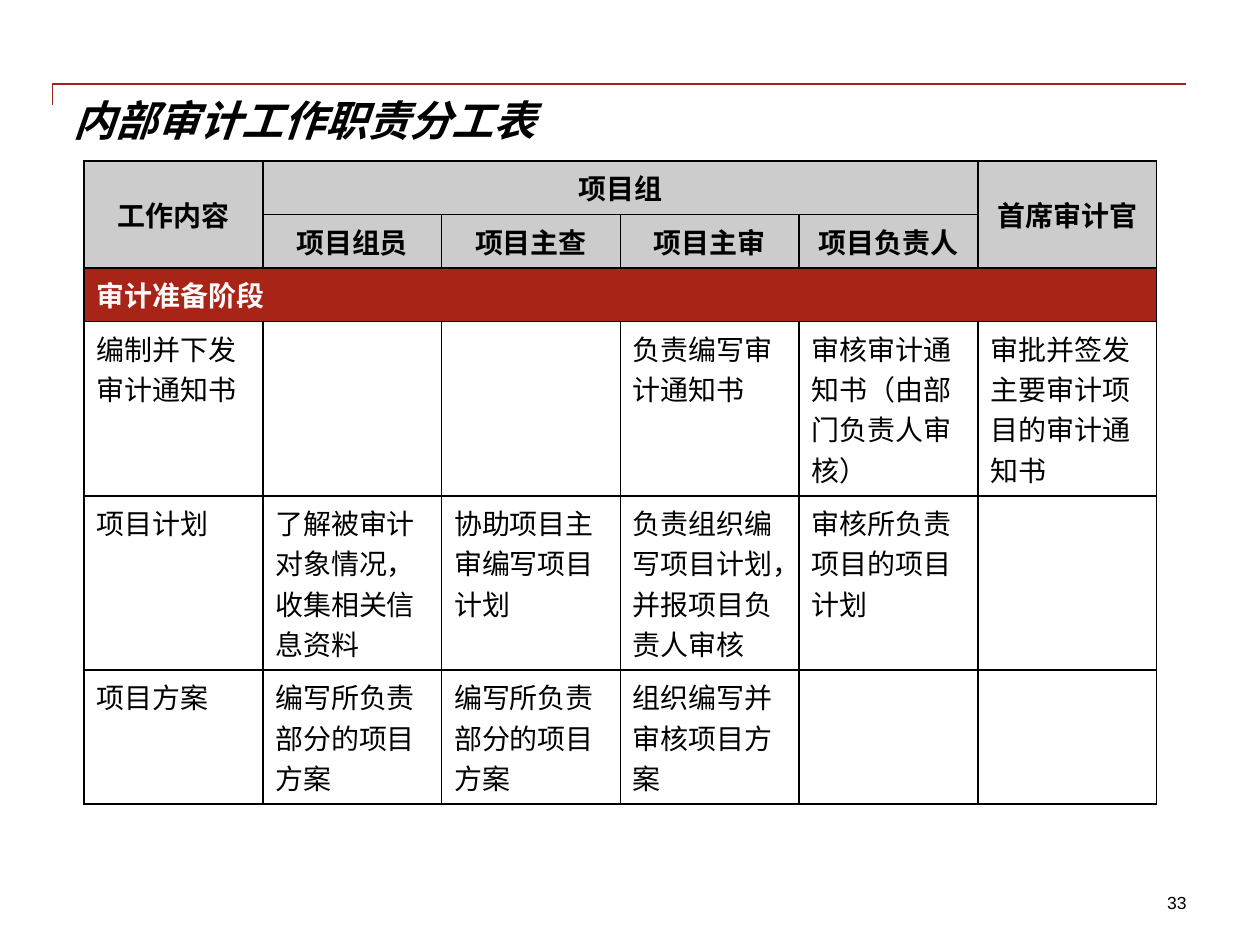
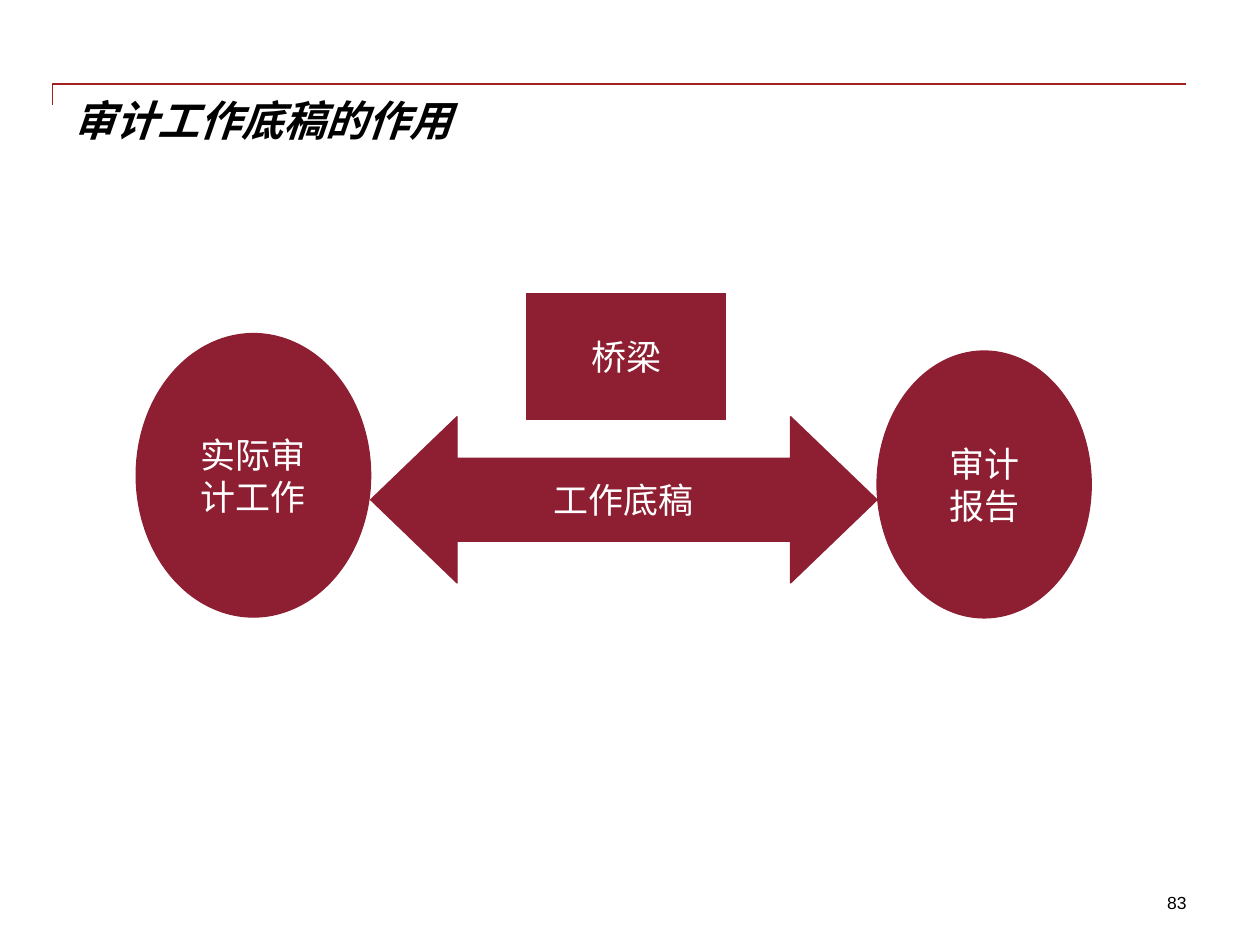
import pptx
import pptx.dml.color
import pptx.enum.shapes
import pptx.enum.text
import pptx.oxml
import pptx.oxml.ns
import pptx.util

Pt = pptx.util.Pt
SHAPE = pptx.enum.shapes.MSO_SHAPE
ALIGN = pptx.enum.text.PP_ALIGN
ANCHOR = pptx.enum.text.MSO_ANCHOR

COLORS = {
    "text": "000000",
    "white": "FFFFFF",
    "rule": "A32020",
    "header": "CCCCCC",
    "phase": "A82417",
    "phase_text": "FEF8F8",
    "shape": "8E1E31",
    "border": "000000",
}
LATIN, CJK = "Arial", "Noto Sans CJK SC"

HEADERS = [
    ["工作内容", "项目组", "", "", "", "首席审计官"],
    ["", "项目组员", "项目主查", "项目主审", "项目负责人", ""],
]
PHASE = ["审计准备阶段", "", "", "", "", ""]
DUTIES = [
    ["编制并下发审计通知书", "", "", "负责编写审计通知书",
     "审核审计通知书（由部门负责人审核）", "审批并签发主要审计项目的审计通知书"],
    ["项目计划", "了解被审计对象情况，收集相关信息资料", "协助项目主审编写项目计划",
     "负责组织编写项目计划，并报项目负责人审核", "审核所负责项目的项目计划", ""],
    ["项目方案", "编写所负责部分的项目方案", "编写所负责部分的项目方案",
     "组织编写并审核项目方案", "", ""],
]
ROW_HEIGHTS = [30.6, 30.6, 30.6, 99.6, 99.6, 76.5]
MERGES = [((0, 0), (1, 0)), ((0, 1), (0, 4)), ((0, 5), (1, 5)), ((2, 0), (2, 5))]


def rgb(name):
    return pptx.dml.color.RGBColor.from_string(COLORS[name])


def style(p, size, color="text", font=LATIN, bold=False, italic=False, align=ALIGN.LEFT):
    p.alignment = align
    p.font.name, p.font.size = font, Pt(size)
    p.font.bold, p.font.italic = bold, italic
    p.font.color.rgb = rgb(color)
    ea = pptx.oxml.parse_xml(f'<a:ea {pptx.oxml.ns.nsdecls("a")} typeface="{CJK}"/>')
    p._p.pPr.defRPr.append(ea)


def clear_margins(tf):
    tf.margin_left = tf.margin_top = tf.margin_right = tf.margin_bottom = 0
    tf.word_wrap = True
    tf.vertical_anchor = ANCHOR.TOP


def add_rule(slide, left, top, width, height):
    """Thin line across the top with a short drop at its left end."""
    fb = slide.shapes.build_freeform(Pt(left), Pt(top + height))
    fb.add_line_segments([(Pt(left), Pt(top)), (Pt(left + width), Pt(top))], close=False)
    sp = fb.convert_to_shape()
    sp.shadow.inherit = False
    sp.fill.background()
    sp.line.color.rgb = rgb("rule")
    sp.line.width = Pt(1)


def add_page(prs, title, number):
    slide = prs.slides.add_slide(prs.slide_layouts[5])
    add_rule(slide, 30, 48, 648, 12)

    sp = slide.shapes.title
    sp.left, sp.top, sp.width, sp.height = Pt(42), Pt(54), Pt(636), Pt(72)
    sp.text_frame.text = title
    clear_margins(sp.text_frame)
    style(sp.text_frame.paragraphs[0], 24, bold=True, italic=True)

    sp = slide.shapes.add_textbox(Pt(558), Pt(510), Pt(120), Pt(12))
    sp.text_frame.text = str(number)
    clear_margins(sp.text_frame)
    style(sp.text_frame.paragraphs[0], 10, align=ALIGN.RIGHT)
    return slide


def add_borders(cell):
    tcPr = cell._tc.get_or_add_tcPr()
    for side in ("lnL", "lnR", "lnT", "lnB"):
        tcPr.append(pptx.oxml.parse_xml(
            f'<a:{side} {pptx.oxml.ns.nsdecls("a")} w="{Pt(1)}"><a:solidFill>'
            f'<a:srgbClr val="{COLORS["border"]}"/></a:solidFill></a:{side}>'))


def fill_cell(cell, text, fill=None, color="text", bold=False, centered=False):
    add_borders(cell)
    if fill:
        cell.fill.solid()
        cell.fill.fore_color.rgb = rgb(fill)
    else:
        cell.fill.background()
    cell.margin_left = cell.margin_right = Pt(7.2)
    cell.margin_top = cell.margin_bottom = Pt(3.6)
    cell.vertical_anchor = ANCHOR.MIDDLE if centered else ANCHOR.TOP
    if text:
        cell.text = text
        style(cell.text_frame.paragraphs[0], 16, color, CJK, bold,
              align=ALIGN.CENTER if centered else ALIGN.LEFT)


def add_duty_table(slide, left, top, width):
    rows = HEADERS + [PHASE] + DUTIES
    cols = len(PHASE)
    frame = slide.shapes.add_table(len(rows), cols, Pt(left), Pt(top),
                                   Pt(width), Pt(sum(ROW_HEIGHTS)))
    table = frame.table
    table.first_row = table.horz_banding = False
    for column in table.columns:
        column.width = Pt(width / cols)
    for row, height in zip(table.rows, ROW_HEIGHTS):
        row.height = Pt(height)

    header = dict(fill="header", bold=True, centered=True)
    phase = dict(fill="phase", color="phase_text", bold=True)
    looks = [header] * len(HEADERS) + [phase] + [{}] * len(DUTIES)
    for r, (texts, look) in enumerate(zip(rows, looks)):
        for c, text in enumerate(texts):
            fill_cell(table.cell(r, c), text, **look)
    for first, last in MERGES:
        table.cell(*first).merge(table.cell(*last))


def add_block(slide, kind, left, top, width, height, lines):
    sp = slide.shapes.add_shape(kind, Pt(left), Pt(top), Pt(width), Pt(height))
    sp.shadow.inherit = False
    sp.fill.solid()
    sp.fill.fore_color.rgb = sp.line.color.rgb = rgb("shape")
    sp.line.width = Pt(0.75)
    tf = sp.text_frame
    tf.text = "\n".join(lines)
    tf.word_wrap = False
    tf.vertical_anchor = ANCHOR.MIDDLE
    for p in tf.paragraphs:
        style(p, 20, "white", CJK, align=ALIGN.CENTER)
    return sp


def add_bridge_diagram(slide, left, top, width):
    """Two ovals at the ends of the box, joined by a double arrow."""
    work_w, report_w = 134, 122.4
    arrow = add_block(slide, SHAPE.LEFT_RIGHT_ARROW, left + work_w, top + 70.5,
                      width - work_w - report_w, 95, ["工作底稿"])
    arrow.adjustments[0], arrow.adjustments[1] = 0.5, 0.52
    add_block(slide, SHAPE.OVAL, left, top + 23, work_w, 162, ["实际审", "计工作"])
    add_block(slide, SHAPE.OVAL, left + width - report_w, top + 33, report_w, 152.5,
              ["审计", "报告"])
    add_block(slide, SHAPE.RECTANGLE, left + 223, top, 114, 72, ["桥梁"])


def main():
    prs = pptx.Presentation()
    prs.slide_width, prs.slide_height = Pt(720), Pt(540)
    add_duty_table(add_page(prs, "内部审计工作职责分工表", 33), 48, 92, 613)
    add_bridge_diagram(add_page(prs, "审计工作底稿的作用", 83), 77.8, 167.6, 545.8)
    prs.save("out.pptx")


if __name__ == "__main__":
    main()
